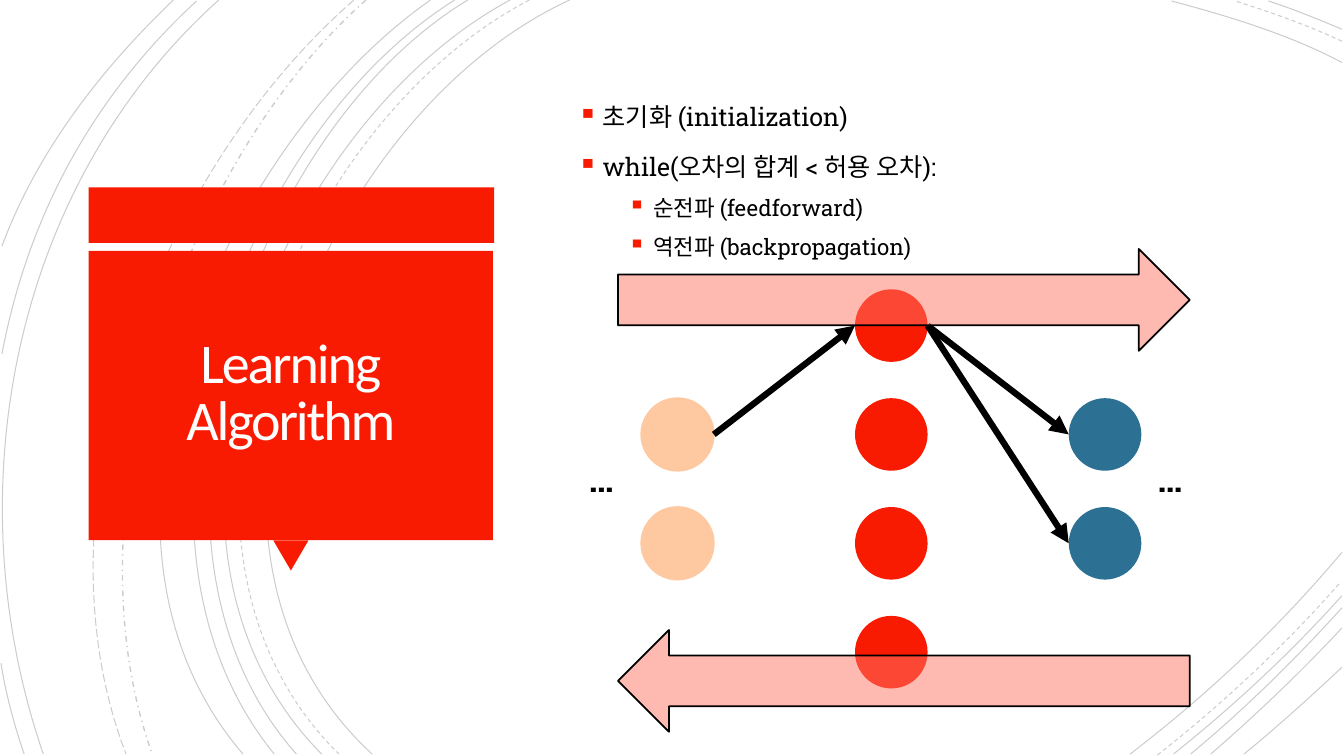
from dataclasses import dataclass

from lxml import etree
from pptx import Presentation
from pptx.dml.color import RGBColor
from pptx.enum import dml, shapes, text
from pptx.oxml import ns
from pptx.util import Inches, Pt


@dataclass(frozen=True)
class Theme:
    red: str = "F81B02"
    blue: str = "2C7093"
    peach: str = "FEC9A1"
    arrow: str = "FE7464"
    ink: str = "000000"
    white: str = "FFFEFF"
    title_font: str = "Calibri"
    body_font: str = "Roboto Slab"
    title_size: float = 40
    dots_size: float = 25
    body_size: float = 18
    sub_size: float = 16


THEME = Theme()
SHAPE = shapes.MSO_SHAPE
DASH = dml.MSO_LINE

# Background curves: start, two control points, end
SOLID_CURVES = [
    [(5.65, 0), (3.15, 1.15), (1.43, 5.4), (3.69, 7.48)],
    [(13.31, 0.62), (12.78, 0.34), (12.18, 0.16), (11.62, 0.01)],
    [(11.21, 7.48), (11.97, 6.9), (12.69, 6.22), (13.31, 5.48)],
    [(5.06, 0), (2.7, 1.27), (1.1, 5.37), (3.19, 7.48)],
    [(13.31, 0.29), (13.07, 0.19), (12.83, 0.09), (12.58, 0.01)],
    [(11.64, 7.48), (12.23, 7.01), (12.8, 6.48), (13.31, 5.91)],
    [(4.64, 0), (2.44, 1.33), (1.1, 5.41), (2.94, 7.48)],
    [(11.81, 7.48), (12.34, 7.04), (12.84, 6.55), (13.31, 6.03)],
    [(4.51, 0), (2.31, 1.38), (0.97, 5.33), (2.72, 7.48)],
    [(12.01, 7.48), (12.46, 7.09), (12.9, 6.67), (13.31, 6.23)],
    [(4.27, 0), (2.17, 1.47), (0.53, 5.29), (2.41, 7.48)],
    [(12.34, 7.48), (12.67, 7.21), (12.99, 6.92), (13.31, 6.62)],
    [(2.17, 0), (0.11, 1.85), (-0.46, 4.9), (0.43, 7.48)],
    [(1.95, 0.01), (0.92, 0.96), (0.28, 2.14), (0.02, 3.51)],
    [(0.01, 6.58), (0.06, 6.89), (0.14, 7.19), (0.24, 7.48)],
    [(1.72, 0), (1, 0.69), (0.37, 1.5), (0.02, 2.44)],
]
DASHED_CURVES = [
    [(5.25, 0), (2.85, 1.25), (1.23, 5.37), (3.36, 7.48)],
    [(13.31, 0.41), (12.97, 0.25), (12.6, 0.12), (12.25, 0.01)],
    [(11.48, 7.49), (12.13, 6.98), (12.75, 6.4), (13.3, 5.77)],
]
DASH_DOT_CURVE = [(3.63, 0), (1.76, 1.66), (0.65, 5.09), (1.51, 7.48)]
LONG_DASH_CURVE = [(3.51, 0), (1.57, 1.69), (0.29, 4.99), (1.25, 7.48)]

# Network grid
CIRCLE = 0.72
ROW_TOP, ROW_STEP = 2.87, 1.08
INPUT_X, HIDDEN_X, OUTPUT_X = 6.36, 8.48, 10.6


def set_alpha(fill_parent, percent):
    color = fill_parent.find(ns.qn("a:solidFill")).find(ns.qn("a:srgbClr"))
    etree.SubElement(color, ns.qn("a:alpha"), val=str(percent * 1000))


def add_curve(page, points, dash=DASH.SOLID, width=0.75):
    start, *rest = [(Inches(x), Inches(y)) for x, y in points]
    builder = page.shapes.build_freeform(*start)
    builder.add_line_segments(rest, close=False)
    curve = builder.convert_to_shape()
    # Turn the three segments into one cubic curve
    segments = list(curve._element.iter(ns.qn("a:lnTo")))
    outline = segments[0].getparent()
    cubic = etree.SubElement(outline, ns.qn("a:cubicBezTo"))
    for segment in segments:
        cubic.append(segment[0])
        outline.remove(segment)
    curve.shadow.inherit = False
    curve.fill.background()
    curve.line.color.rgb = RGBColor.from_string(THEME.ink)
    curve.line.width = Pt(width)
    curve.line.dash_style = dash
    set_alpha(curve._element.spPr.find(ns.qn("a:ln")), 20)


def add_shape(page, kind, place, fill, line=None, rotation=0, alpha=None):
    shape = page.shapes.add_shape(kind, *[Inches(n) for n in place])
    shape.shadow.inherit = False
    shape.rotation = rotation
    shape.fill.solid()
    shape.fill.fore_color.rgb = RGBColor.from_string(fill)
    if alpha:
        set_alpha(shape._element.spPr, alpha)
    if line:
        shape.line.color.rgb = RGBColor.from_string(line)
        shape.line.width = Pt(1.25)
    else:
        shape.line.fill.background()


def add_circles(page, left, rows, color, line=None):
    for row in rows:
        place = (left, ROW_TOP + row * ROW_STEP, CIRCLE, CIRCLE)
        add_shape(page, SHAPE.OVAL, place, color, line)


def add_link(page, from_left, from_row, to_left, to_row):
    ends = [from_left + CIRCLE, ROW_TOP + from_row * ROW_STEP + CIRCLE / 2,
            to_left, ROW_TOP + to_row * ROW_STEP + CIRCLE / 2]
    link = page.shapes.add_connector(
        shapes.MSO_CONNECTOR.STRAIGHT, *[Inches(n) for n in ends])
    link.line.color.rgb = RGBColor.from_string(THEME.ink)
    link.line.width = Pt(4.5)
    properties = link._element.spPr
    etree.SubElement(properties.find(ns.qn("a:ln")), ns.qn("a:tailEnd"), type="triangle")
    etree.SubElement(properties, ns.qn("a:effectLst"))


def add_box(page, place, wrap=True, inset=None):
    box = page.shapes.add_textbox(*[Inches(n) for n in place])
    frame = box.text_frame
    frame.word_wrap = wrap
    if wrap:
        frame.vertical_anchor = text.MSO_ANCHOR.MIDDLE
    else:
        frame.auto_size = text.MSO_AUTO_SIZE.SHAPE_TO_FIT_TEXT
    if inset:
        frame.margin_left = frame.margin_right = Inches(inset)
        frame.margin_top = frame.margin_bottom = Inches(inset)
    return frame


def write(para, words, *, size, font=THEME.body_font, color=THEME.ink,
          bold=False, tracking=None):
    for number, line in enumerate(words.split("\n")):
        if number:
            para.add_line_break()
        span = para.add_run()
        span.text = line
        span.font.size = Pt(size)
        span.font.name = font
        span.font.bold = bold
        span.font.color.rgb = RGBColor.from_string(color)
        if tracking:
            span._r.get_or_add_rPr().set("spc", str(round(tracking * 100)))


def add_bullet(para, level):
    properties = para._p.get_or_add_pPr()
    properties.set("marL", str(Inches(0.75 if level else 0.25)))
    properties.set("indent", str(Inches(-0.25)))
    color = etree.SubElement(properties, ns.qn("a:buClr"))
    etree.SubElement(color, ns.qn("a:srgbClr"), val=THEME.red)
    etree.SubElement(properties, ns.qn("a:buSzPct"), val="110000")
    etree.SubElement(properties, ns.qn("a:buChar"), char="▪")
    para.level = level


def add_steps(page):
    frame = add_box(page, (5.63, 0.24, 6.87, 3.05))
    steps = [(0, "초기화 (initialization)"), (0, "while(오차의 합계 < 허용 오차):"),
             (1, "순전파 (feedforward)"), (1, "역전파 (backpropagation)")]
    for number, (level, words) in enumerate(steps):
        para = frame.add_paragraph() if number else frame.paragraphs[0]
        add_bullet(para, level)
        para.line_spacing = 1.2
        if number:
            para.space_before = Pt(5 if level else 10)
        write(para, words, size=THEME.sub_size if level else THEME.body_size)


def add_title(page):
    add_shape(page, SHAPE.RECTANGLE, (0.88, 1.86, 4.02, 0.55), THEME.red)
    add_shape(page, SHAPE.ISOSCELES_TRIANGLE, (2.71, 5.36, 0.35, 0.3), THEME.red, rotation=180)
    add_shape(page, SHAPE.RECTANGLE, (0.88, 2.49, 4.01, 2.87), THEME.red)
    para = add_box(page, (0.97, 2.57, 3.83, 2.69), inset=0.25).paragraphs[0]
    para.alignment = text.PP_ALIGN.CENTER
    para.line_spacing = 0.85
    write(para, "Learning\nAlgorithm", size=THEME.title_size, font=THEME.title_font,
          color=THEME.white, tracking=-1.5)


def add_network(page):
    add_circles(page, OUTPUT_X, (1, 2), THEME.blue)
    add_circles(page, HIDDEN_X, range(4), THEME.red)
    add_circles(page, INPUT_X, (1, 2), THEME.peach, THEME.peach)
    for row in (1, 2):
        add_link(page, HIDDEN_X, 0, OUTPUT_X, row)
    add_link(page, INPUT_X, 1, HIDDEN_X, 0)
    for left in (11.38, 5.74):
        frame = add_box(page, (left, 4.49, 0.45, 0.52), wrap=False)
        write(frame.paragraphs[0], "…", size=THEME.dots_size, bold=True)
    # Forward and backward passes
    for top, rotation in ((0.14, 270), (3.92, 90)):
        add_shape(page, SHAPE.DOWN_ARROW, (8.46, top, 1.01, 5.67), THEME.arrow,
                  THEME.ink, rotation, alpha=50)


def main():
    deck = Presentation()
    deck.slide_width, deck.slide_height = Inches(13.33), Inches(7.5)
    page = deck.slides.add_slide(deck.slide_layouts[6])
    for points in SOLID_CURVES:
        add_curve(page, points)
    for points in DASHED_CURVES:
        add_curve(page, points, DASH.DASH)
    add_curve(page, DASH_DOT_CURVE, DASH.DASH_DOT, width=1)
    add_curve(page, LONG_DASH_CURVE, DASH.LONG_DASH)
    add_title(page)
    add_steps(page)
    add_network(page)
    deck.save("out.pptx")


if __name__ == "__main__":
    main()
